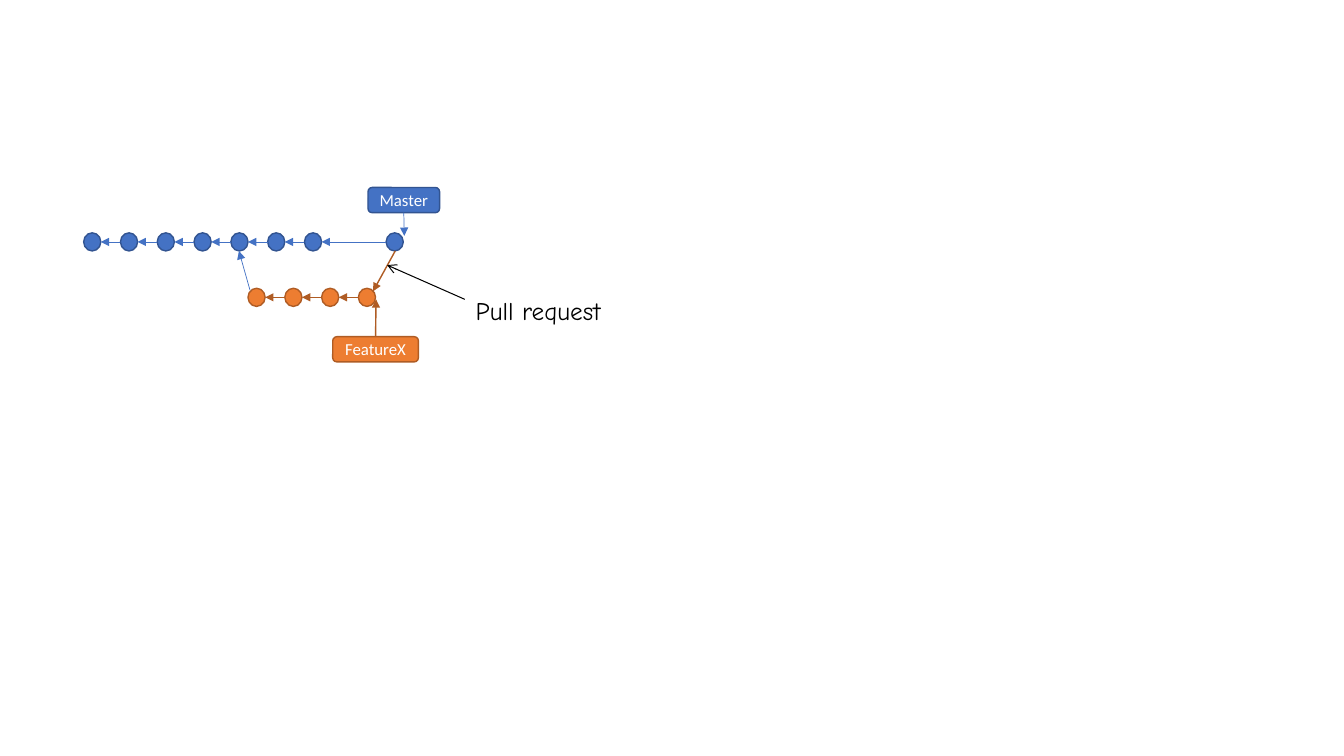
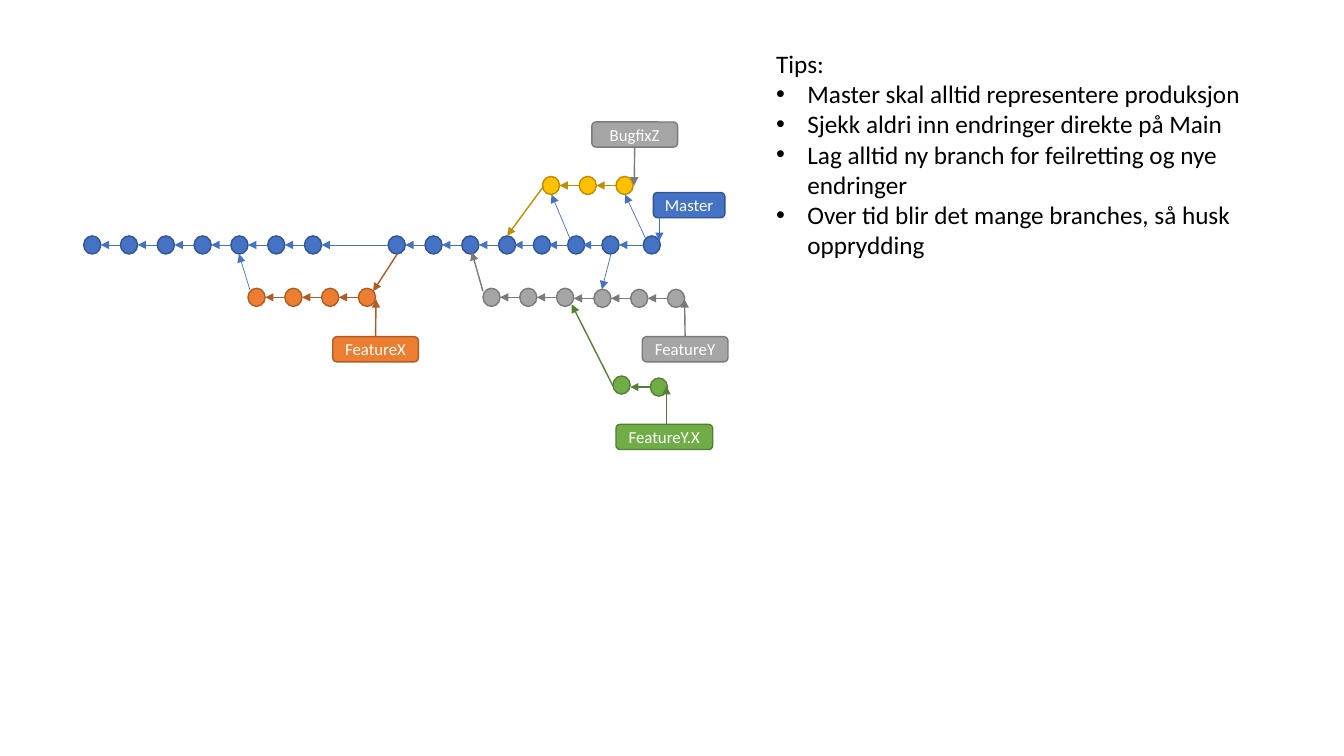
from pptx import Presentation
from pptx.dml.color import RGBColor
from pptx.enum.shapes import MSO_CONNECTOR as Connector, MSO_SHAPE as Shape
from pptx.enum.text import MSO_ANCHOR as Anchor, PP_ALIGN as Align
from pptx.oxml.ns import qn
from pptx.util import Inches, Pt
from lxml.etree import SubElement

DOT_W, DOT_H = 0.17, 0.18
STEP = 0.365
ARROW = 0.19
LABEL_H = 0.25

# fill, outline, arrow colour, arrow width
STYLES = {
    "blue": ("4472C4", "325491", "4472C4", 0.5),
    "orange": ("ED7D31", "AF5C24", "AF5C24", 1),
    "grey": ("A5A5A5", "7A7A7A", "7A7A7A", 1),
    "yellow": ("FFC000", "BD8E00", "BD8E00", 1),
    "green": ("70AD47", "538035", "538035", 1),
    "black": (None, None, "000000", 0.75),
}


def row(left, top, count, step=STEP):
    """Top left corners of evenly spaced commits."""
    return [(left + i * step, top) for i in range(count)]


def feature_x(master_top, merge_x):
    """The branch both slides share; its links follow the master row."""
    master_bottom = master_top + DOT_H
    return {
        "branches": [("orange", row(2.46, 2.86, 4))],
        "links": [("blue", (2.48, 2.88), (2.37, master_bottom)),
                  ("orange", (merge_x, master_bottom), (3.7, 2.89))],
        "labels": [("FeatureX", "orange", (3.3, 3.34), 0.85, (3.73, 2.97))],
    }


# Labels: text, style, corner, width, arrow tip
PULL_REQUEST = {
    "branches": [("blue", row(0.83, 2.31, 7) + row(3.83, 2.31, 1))],
    "links": [],
    "labels": [("Master", "blue", (3.65, 1.86), 0.71, (4.01, 2.34))],
}
MANY_BRANCHES = {
    "branches": [
        ("blue", row(0.83, 2.34, 7) + row(3.85, 2.34, 4)
         + row(5.29, 2.34, 3, 0.34) + row(6.38, 2.34, 1)),
        ("grey", row(4.79, 2.86, 3) + row(5.89, 2.87, 3)),
        ("yellow", row(5.38, 1.75, 3)),
        ("green", row(6.08, 3.73, 1) + row(6.45, 3.75, 1)),
    ],
    "links": [
        ("grey", (4.79, 2.89), (4.68, 2.5)),
        ("yellow", (5.39, 1.85), (5.03, 2.34)),
        ("green", (6.08, 3.83), (5.67, 3.02)),
        ("blue", (5.65, 2.36), (5.47, 1.93)),
        ("blue", (6.4, 2.36), (6.2, 1.93)),
        ("blue", (6.06, 2.52), (5.97, 2.87)),
    ],
    "labels": [
        ("Master", "blue", (6.48, 1.91), 0.71, (6.54, 2.39)),
        ("FeatureY", "grey", (6.37, 3.34), 0.85, (6.79, 2.97)),
        ("BugfixZ", "grey", (5.87, 1.21), 0.85, (6.29, 1.84)),
        ("FeatureY.X", "green", (6.11, 4.21), 0.96, (6.61, 3.83)),
    ],
}
TIPS_TITLE = "Tips:"
TIPS = [
    "Master skal alltid representere produksjon",
    "Sjekk aldri inn endringer direkte på Main",
    "Lag alltid ny branch for feilretting og nye endringer",
    "Over tid blir det mange branches, så husk opprydding",
]


def color(value):
    return RGBColor.from_string(value)


def add_span(para, text, size, ink="000000", font="Calibri"):
    span = para.add_run()
    span.text = text
    span.font.size = Pt(size)
    span.font.name = font
    span.font.color.rgb = color(ink)


def add_box(page, kind, style, corner, width, height):
    fill, outline = STYLES[style][:2]
    box = page.shapes.add_shape(
        kind, *map(Inches, (*corner, width, height)))
    box.shadow.inherit = False
    box.fill.solid()
    box.fill.fore_color.rgb = color(fill)
    box.line.color.rgb = color(outline)
    box.line.width = Pt(1)
    return box


def add_arrow(page, style, start, tip, head="triangle"):
    ink, width = STYLES[style][2:]
    arrow = page.shapes.add_connector(
        Connector.STRAIGHT, *map(Inches, (*start, *tip)))
    arrow.line.color.rgb = color(ink)
    arrow.line.width = Pt(width)
    SubElement(arrow.line._get_or_add_ln(), qn("a:tailEnd"), type=head)
    SubElement(arrow._element.spPr, qn("a:effectLst"))
    return arrow


def add_branch(page, style, commits):
    for corner in commits:
        add_box(page, Shape.FLOWCHART_CONNECTOR, style, corner, DOT_W, DOT_H)
    for (parent, _), (left, top) in zip(commits, commits[1:]):
        middle = top + DOT_H / 2
        tip = min(parent + DOT_W, left - ARROW)
        add_arrow(page, style, (left, middle), (tip, middle))


def add_label(page, text, style, corner, width, tip):
    left, top = corner
    box = add_box(page, Shape.ROUNDED_RECTANGLE, style, corner, width, LABEL_H)
    frame = box.text_frame
    frame.word_wrap = False
    frame.vertical_anchor = Anchor.MIDDLE
    para = frame.paragraphs[0]
    para.alignment = Align.CENTER
    add_span(para, text, 12, "FFFFFF")

    points_down = tip[1] > top
    start = (tip[0], top + LABEL_H if points_down else top)
    arrow = add_arrow(page, style, start, tip)
    if abs(left + width / 2 - tip[0]) < 0.01:
        arrow.begin_connect(box, 2 if points_down else 0)


def add_graph(page, *parts):
    for part in parts:
        for branch in part["branches"]:
            add_branch(page, *branch)
    for part in parts:
        for link in part["links"]:
            add_arrow(page, *link)
        for label in part["labels"]:
            add_label(page, *label)


def add_text(page, left, top, width, height):
    frame = page.shapes.add_textbox(
        *map(Inches, (left, top, width, height))).text_frame
    frame.word_wrap = True
    return frame


def add_bullet(para):
    props = para._p.get_or_add_pPr()
    indent = Inches(0.31)
    props.set("marL", str(indent))
    props.set("indent", str(-indent))
    SubElement(props, qn("a:buFont"), typeface="Arial")
    SubElement(props, qn("a:buChar"), char="•")


def main():
    deck = Presentation()
    deck.slide_width, deck.slide_height = Inches(13.33), Inches(7.5)
    blank = deck.slide_layouts[6]

    page = deck.slides.add_slide(blank)
    add_graph(page, PULL_REQUEST, feature_x(2.31, 3.92))
    note = add_text(page, 4.62, 2.88, 1.85, 0.4)
    add_span(note.paragraphs[0], "Pull request", 18, font="Comic Neue")
    add_arrow(page, "black", (4.61, 2.97), (3.84, 2.63), "arrow")

    page = deck.slides.add_slide(blank)
    add_graph(page, MANY_BRANCHES, feature_x(2.34, 3.94))
    tips = add_text(page, 7.6, 0.43, 5.53, 2.83)
    add_span(tips.paragraphs[0], TIPS_TITLE, 18)
    for tip in TIPS:
        para = tips.add_paragraph()
        add_bullet(para)
        add_span(para, tip, 18)

    deck.save("out.pptx")


if __name__ == "__main__":
    main()
